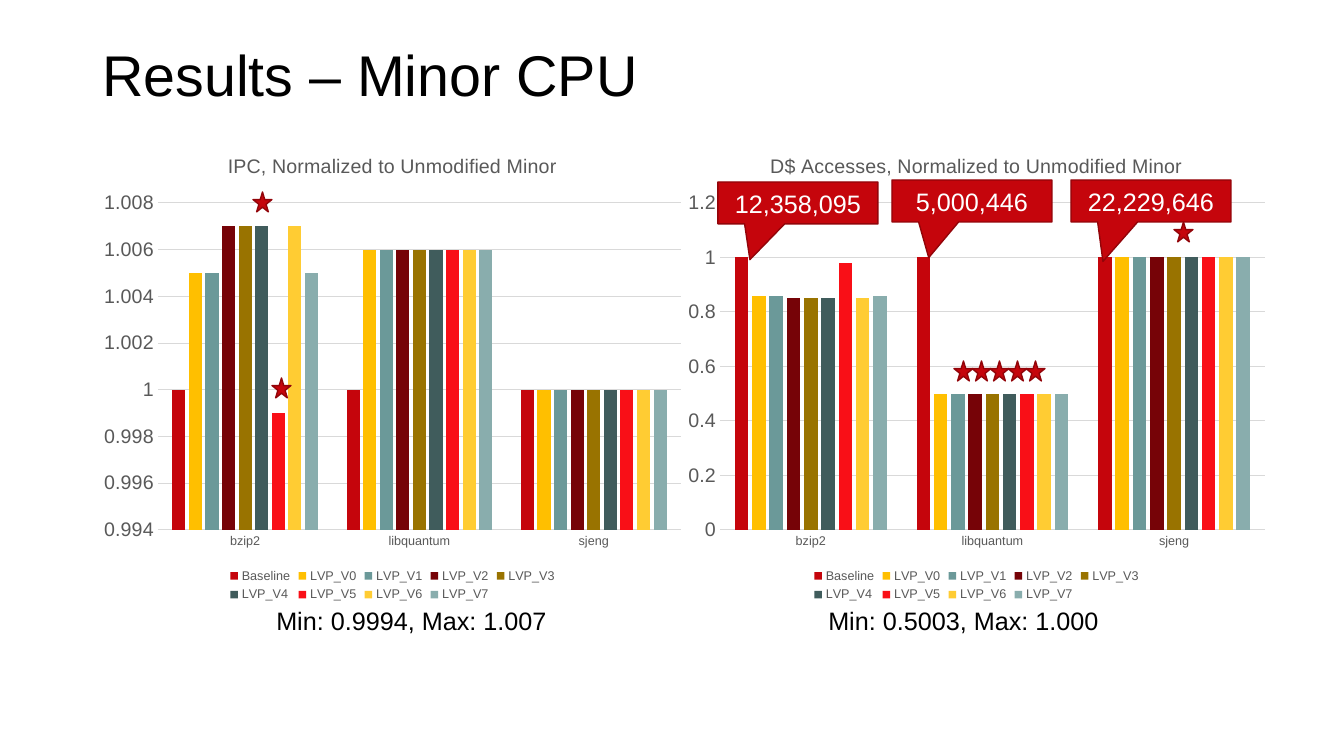
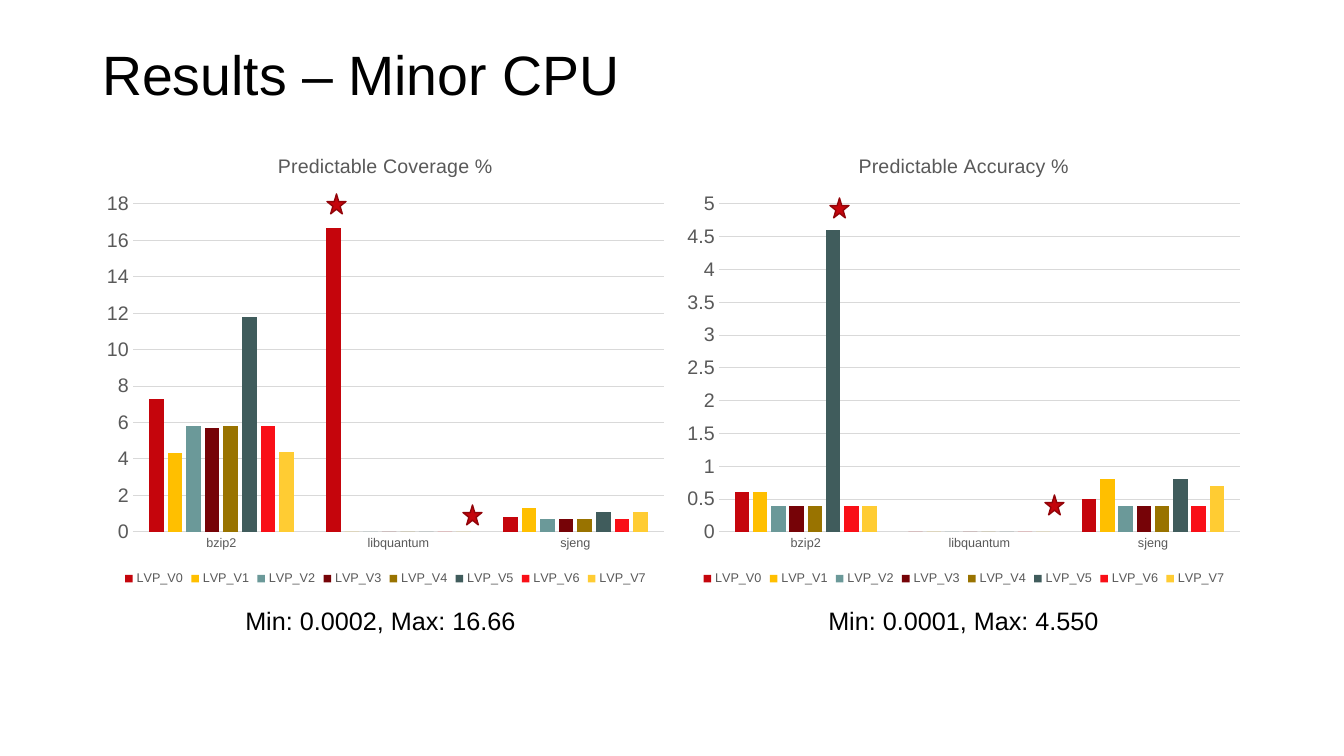
from lxml import etree
from pptx import Presentation
from pptx.chart.data import CategoryChartData
from pptx.dml.color import RGBColor
from pptx.enum.chart import XL_CHART_TYPE as CT, XL_LEGEND_POSITION as LP, XL_TICK_MARK as TM
from pptx.enum.shapes import MSO_SHAPE as MS
from pptx.enum.text import MSO_ANCHOR as MA, MSO_AUTO_SIZE as AS, PP_ALIGN as AL
from pptx.oxml.ns import qn
from pptx.util import Pt

SCALE = 914400 / 100.8
FONT = "Arial"
COLORS = {
    "text": "000000", "muted": "595959", "grid": "D9D9D9", "white": "FFFFFF",
    "accent": "C5050C", "edge": "920409",
}
SERIES_COLORS = {
    "red": "C5050C", "amber": "FFBF00", "teal": "6B9999", "maroon": "760307",
    "brown": "997300", "slate": "405C5C", "scarlet": "F90F17", "yellow": "FFCC33",
    "mist": "89ADAD",
}
BENCHMARKS = ["bzip2", "libquantum", "sjeng"]
VERSIONS = [f"LVP_V{i}" for i in range(8)]
WITH_BASELINE = ["Baseline"] + VERSIONS


def px(*values):
    return [round(v * SCALE) for v in values]


def rgb(name):
    return RGBColor.from_string(COLORS[name])


def style_font(font, size, color):
    font.name = FONT
    font.size = Pt(size)
    font.bold = False
    font.color.rgb = rgb(color)


def put_text(tf, text, size=18, color="text", align=AL.CENTER, anchor=MA.TOP, spacing=None):
    tf.word_wrap = True
    tf.vertical_anchor = anchor
    p = tf.paragraphs[0]
    p.alignment = align
    if spacing:
        p.line_spacing = spacing
    r = p.add_run()
    r.text = text
    style_font(r.font, size, color)


class Deck:
    def __init__(self):
        self.prs = Presentation()
        self.prs.slide_width, self.prs.slide_height = px(1344, 756)

    def slide(self, title, size):
        self.s = self.prs.slides.add_slide(self.prs.slide_layouts[5])
        sp = self.s.shapes.title
        sp.left, sp.top, sp.width, sp.height = px(92, 41, 1159, 74)
        put_text(sp.text_frame, title, size=size, align=AL.LEFT, anchor=MA.MIDDLE, spacing=0.9)
        sp.text_frame.auto_size = AS.NONE

    def caption(self, x, text):
        tf = self.s.shapes.add_textbox(*px(x, 600, 479, 40)).text_frame
        put_text(tf, text)
        tf.auto_size = AS.SHAPE_TO_FIT_TEXT

    def shape(self, kind, *box):
        sp = self.s.shapes.add_shape(kind, *px(*box))
        sp.shadow.inherit = False
        sp.fill.solid()
        sp.fill.fore_color.rgb = rgb("accent")
        sp.line.color.rgb = rgb("edge")
        sp.line.width = Pt(1)
        return sp

    def star(self, x, y):
        self.shape(MS.STAR_5_POINT, x, y, 19, 20)

    def callout(self, x, y, text, tip):
        sp = self.shape(MS.RECTANGULAR_CALLOUT, x, y, 160, 42)
        sp.adjustments[0], sp.adjustments[1] = tip
        put_text(sp.text_frame, text, color="white", anchor=MA.MIDDLE)

    def chart(self, title, box, plot, names, rows, scale):
        data = CategoryChartData()
        data.categories = BENCHMARKS
        for name, values in zip(names, zip(*rows)):
            data.add_series(name, values)
        chart = self.s.shapes.add_chart(CT.COLUMN_CLUSTERED, *px(*box), data).chart
        style_font(chart.font, 10, "text")
        chart.has_title = True
        put_text(chart.chart_title.text_frame, title, size=14, color="muted")
        chart.chart_title.include_in_layout = False
        chart.has_legend = True
        chart.legend.position = LP.BOTTOM
        chart.legend.include_in_layout = False
        style_font(chart.legend.font, 9, "muted")
        self.axes(chart, scale)
        bars = chart.plots[0]
        bars.gap_width, bars.overlap, bars.vary_by_categories = 219, -27, False
        for series, color in zip(bars.series, SERIES_COLORS.values()):
            series.format.fill.solid()
            series.format.fill.fore_color.rgb = RGBColor.from_string(color)
            series.invert_if_negative = False
        self.place_plot(chart, box, plot)

    def axes(self, chart, scale):
        cat, val = chart.category_axis, chart.value_axis
        for axis, size in ((cat, 9), (val, 14)):
            axis.major_tick_mark = axis.minor_tick_mark = TM.NONE
            style_font(axis.tick_labels.font, size, "muted")
        val.minimum_scale, val.maximum_scale, val.major_unit = scale
        val.tick_labels.number_format = "General"
        val.tick_labels.number_format_is_linked = False
        val.format.line.fill.background()
        for line in (cat.format.line, val.major_gridlines.format.line):
            line.color.rgb = rgb("grid")
            line.width = Pt(0.75)

    def place_plot(self, chart, box, plot):
        left, top, width, height = box
        x, y, w, h = plot
        area = chart.plots[0]._element.getparent()
        for old in area.findall(qn("c:layout")):
            area.remove(old)
        layout = etree.Element(qn("c:layout"))
        area.insert(0, layout)
        manual = etree.SubElement(layout, qn("c:manualLayout"))
        settings = {
            "layoutTarget": "inner", "xMode": "edge", "yMode": "edge",
            "x": (x - left) / width, "y": (y - top) / height,
            "w": w / width, "h": h / height,
        }
        for tag, value in settings.items():
            etree.SubElement(manual, qn(f"c:{tag}")).set("val", str(value))


def main():
    d = Deck()
    d.slide("Results – Minor CPU", 41)
    d.chart("IPC, Normalized to Unmodified Minor", (92, 135, 601, 471), (158, 203, 523, 327),
            WITH_BASELINE, [
                [1, 1.005, 1.005, 1.007, 1.007, 1.007, 0.999, 1.007, 1.005],
                [1] + [1.006] * 8,
                [1] * 9,
            ], (0.994, 1.008, 0.002))
    d.chart("D$ Accesses, Normalized to Unmodified Minor", (676, 135, 601, 471),
            (720, 203, 545, 327), WITH_BASELINE, [
                [1, 0.86, 0.86, 0.85, 0.85, 0.85, 0.98, 0.85, 0.86],
                [1] + [0.5] * 8,
                [1] * 9,
            ], (0, 1.2, 0.2))
    d.caption(172, "Min: 0.9994, Max: 1.007")
    d.caption(724, "Min: 0.5003, Max: 1.000")
    row = [(954 + 18 * i, 361) for i in range(5)]
    for x, y in [(253, 192), (272, 378), *row, (1174, 222)]:
        d.star(x, y)
    d.callout(718, 182, "12,358,095", (-0.3, 1.35))
    d.callout(892, 180, "5,000,446", (-0.27, 1.35))
    d.callout(1071, 180, "22,229,646", (-0.3, 1.44))

    d.slide("Results – Minor CPU", 39.6)
    d.chart("Predictable Coverage %", (95, 135, 581, 455), (133, 204, 531, 328), VERSIONS, [
        [7.3, 4.3, 5.8, 5.7, 5.8, 11.8, 5.8, 4.4],
        [16.7] + [0] * 7,
        [0.8, 1.3, 0.7, 0.7, 0.7, 1.1, 0.7, 1.1],
    ], (0, 18, 2))
    d.chart("Predictable Accuracy %", (676, 135, 576, 455), (719, 204, 521, 328), VERSIONS, [
        [0.6, 0.6, 0.4, 0.4, 0.4, 4.6, 0.4, 0.4],
        [0] * 8,
        [0.5, 0.8, 0.4, 0.4, 0.4, 0.8, 0.4, 0.7],
    ], (0, 5, 0.5))
    d.caption(141, "Min: 0.0002, Max: 16.66")
    d.caption(724, "Min: 0.0001, Max: 4.550")
    for x, y in [(327, 194), (463, 505), (830, 198), (1045, 495)]:
        d.star(x, y)
    d.prs.save("out.pptx")


if __name__ == "__main__":
    main()
